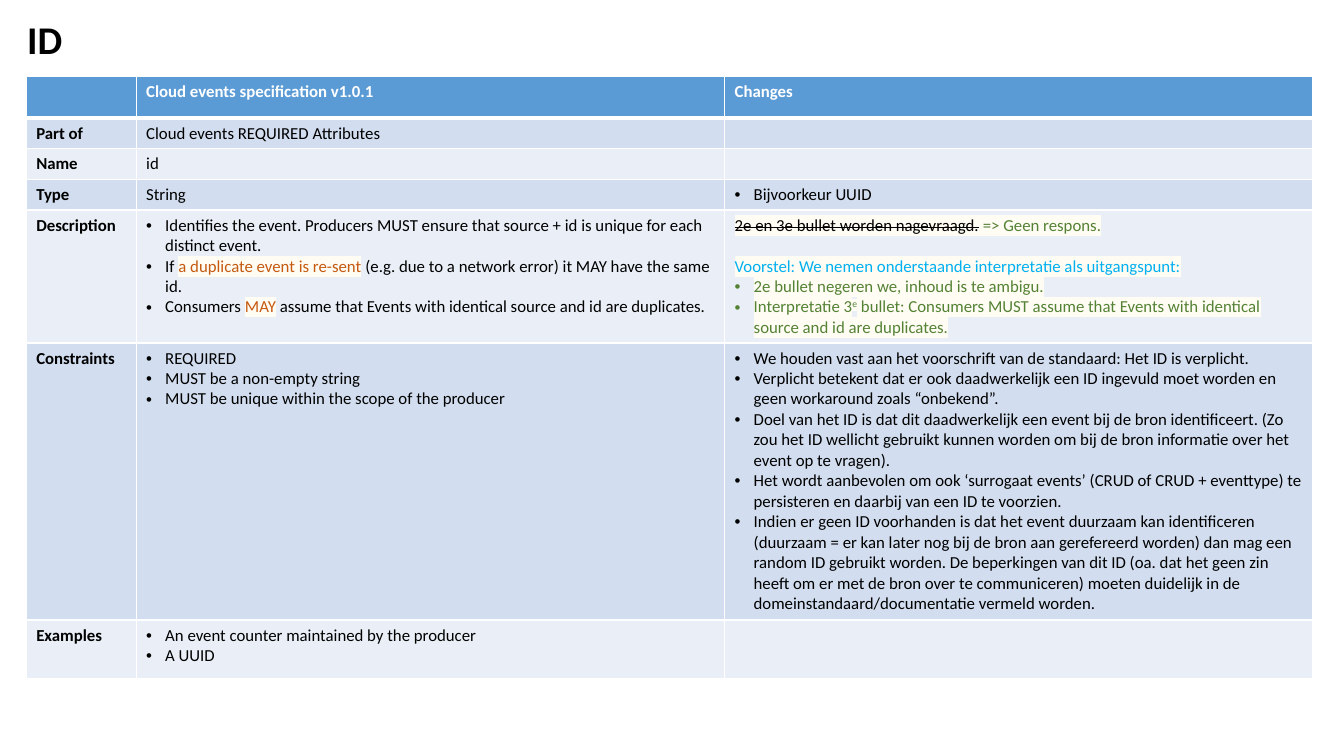
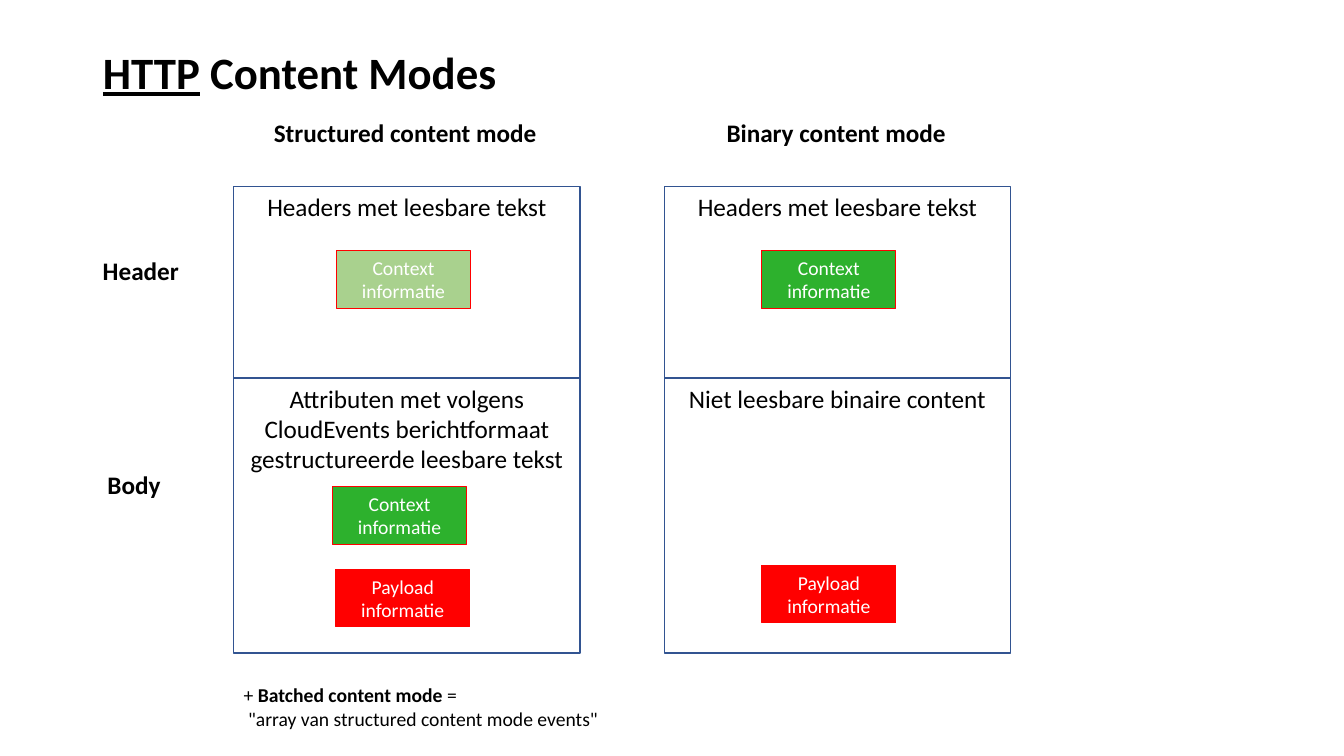
from lxml import etree
from pptx import Presentation
from pptx.dml.color import RGBColor
from pptx.enum.shapes import MSO_SHAPE
from pptx.enum.text import MSO_ANCHOR, MSO_AUTO_SIZE, PP_ALIGN
from pptx.oxml.ns import qn
from pptx.util import Cm, Pt

RECT = MSO_SHAPE.RECTANGLE
TOP, MIDDLE = MSO_ANCHOR.TOP, MSO_ANCHOR.MIDDLE
NO_FIT, GROW = MSO_AUTO_SIZE.NONE, MSO_AUTO_SIZE.SHAPE_TO_FIT_TEXT
LEFT, CENTER = PP_ALIGN.LEFT, PP_ALIGN.CENTER

FONT = "Calibri"
COLORS = {
    "black": "000000", "white": "FFFFFF", "head": "5B9BD5",
    "odd": "D2DEEF", "even": "EAEFF7", "mark": "FFFCF3",
    "orange": "C55A11", "moss": "548235", "sky": "00B0F0",
    "frame": "325491", "green": "2DB12D", "pale": "A9D18E", "red": "FF0000",
}

# Run styles; a run is a plain string or (string, style name)
STYLES = {
    "bold": {"bold": True},
    "under": {"under": True},
    "orange": {"color": "orange", "mark": True},
    "struck": {"strike": True, "mark": True},
    "mark": {"mark": True},
    "moss": {"color": "moss", "mark": True},
    "super": {"color": "moss", "mark": True, "raised": True},
    "sky": {"color": "sky", "mark": True},
}

# A paragraph is (kind, run, run, ...); the kind is one of these
PLAIN, BULLET, GAP = "plain", "bullet", "gap"

HEADS = ["", "Cloud events specification v1.0.1", "Changes"]
ROWS = [
    ("Part of", [(PLAIN, "Cloud events REQUIRED Attributes")], []),
    ("Name", [(PLAIN, "id")], []),
    ("Type", [(PLAIN, "String")], [(BULLET, "Bijvoorkeur UUID")]),
    ("Description", [
        (BULLET, "Identifies the event. Producers MUST ensure that source + id is "
                 "unique for each distinct event."),
        (BULLET, "If ", ("a duplicate event is re-sent", "orange"),
         " (e.g. due to a network error) it MAY have the same id."),
        (BULLET, "Consumers ", ("MAY", "orange"),
         " assume that Events with identical source and id are duplicates."),
    ], [
        (PLAIN, ("2e en 3e bullet worden nagevraagd.", "struck"), (" ", "mark"),
         ("=> Geen respons.", "moss")),
        (GAP, ("Voorstel: We nemen onderstaande interpretatie als uitgangspunt:", "sky")),
        (BULLET, ("2e bullet negeren we, inhoud is te ambigu.", "moss")),
        (BULLET, ("Interpretatie 3", "moss"), ("e", "super"),
         (" bullet: Consumers MUST assume that Events with identical source and id "
          "are duplicates.", "moss")),
    ]),
    ("Constraints", [
        (BULLET, "REQUIRED"),
        (BULLET, "MUST be a non-empty string"),
        (BULLET, "MUST be unique within the scope of the producer"),
    ], [
        (BULLET, "We houden vast aan het voorschrift van de standaard: Het ID is verplicht."),
        (BULLET, "Verplicht betekent dat er ook daadwerkelijk een ID ingevuld moet worden "
                 "en geen workaround zoals “onbekend”."),
        (BULLET, "Doel van het ID is dat dit daadwerkelijk een event bij de bron "
                 "identificeert. (Zo zou het ID wellicht gebruikt kunnen worden om bij de "
                 "bron informatie over het event op te vragen)."),
        (BULLET, "Het wordt aanbevolen om ook ‘surrogaat events’ (CRUD of CRUD + "
                 "eventtype) te persisteren en daarbij van een ID te voorzien."),
        (BULLET, "Indien er geen ID voorhanden is dat het event duurzaam kan "
                 "identificeren (duurzaam = er kan later nog bij de bron aan gerefereerd "
                 "worden) dan mag een random ID gebruikt worden. De beperkingen van dit ID "
                 "(oa. dat het geen zin heeft om er met de bron over te communiceren) "
                 "moeten duidelijk in de domeinstandaard/documentatie vermeld worden."),
    ]),
    ("Examples", [
        (BULLET, "An event counter maintained by the producer"),
        (BULLET, "A UUID"),
    ], []),
]
WIDTHS = [2.77, 14.83, 14.83]
HEIGHTS = [1.05, 0.77, 0.77, 0.77, 3.35, 6.98, 1.47]

# Modes: left edge, texts of the header and body frames
MODES = [
    (5.89, ["Headers met leesbare tekst",
            "Attributen met volgens CloudEvents berichtformaat "
            "gestructureerde leesbare tekst"]),
    (16.74, ["Headers met leesbare tekst", "Niet leesbare binaire content"]),
]
FRAME_TOP, FRAME_WIDTH, FRAME_HEIGHTS = 4.7, 8.73, [4.83, 6.93]
LABELS = [
    (6.65, 2.84, 7.19, "Structured content mode"),
    (18.06, 2.84, 6.07, "Binary content mode"),
    (2.34, 6.32, 2.44, "Header"),
    (2.46, 11.71, 1.85, "Body"),
]
CHIPS = [
    (19.2, 6.32, "Context informatie", "green"),
    (8.48, 6.32, "Context informatie", "pale"),
    (8.38, 12.27, "Context informatie", "green"),
    (8.46, 14.35, "Payload informatie", "red"),
    (19.2, 14.25, "Payload informatie", "red"),
]
NOTE = [
    (PLAIN, "+ ", ("Batched content mode", "bold"), " ="),
    (PLAIN, ' "array van structured content mode events"'),
]


def rgb(name):
    return RGBColor.from_string(COLORS[name])


def add_color(parent, tag, name):
    """Append an XML element that holds one colour."""
    item = etree.SubElement(parent, qn(tag))
    etree.SubElement(item, qn("a:srgbClr"), val=COLORS[name])
    return item


def style_run(run, size, color="black", bold=False, under=False,
              mark=False, strike=False, raised=False):
    font = run.font
    font.name, font.size, font.bold = FONT, Pt(size), bold
    font.color.rgb = rgb(color)
    if under:
        font.underline = True
    props = run._r.get_or_add_rPr()
    if mark:
        props.find(qn("a:solidFill")).addnext(add_color(props, "a:highlight", "mark"))
    if strike:
        props.set("strike", "sngStrike")
    if raised:
        props.set("baseline", "30000")


def add_bullet(para):
    props = para._p.get_or_add_pPr()
    props.set("marL", str(Cm(0.48)))
    props.set("indent", str(-Cm(0.48)))
    etree.SubElement(props, qn("a:buFont"), typeface="Arial")
    etree.SubElement(props, qn("a:buChar"), char="•")


def write(frame, paras, size, align=LEFT, **base):
    """Fill a text frame; base holds the style that all runs share."""
    for i, (kind, *runs) in enumerate(paras):
        para = frame.add_paragraph() if i else frame.paragraphs[0]
        para.alignment = align
        if kind == GAP:
            para.space_before = Pt(size * 1.22)
        if kind == BULLET:
            add_bullet(para)
        for item in runs:
            text, name = (item, None) if isinstance(item, str) else item
            run = para.add_run()
            run.text = text
            style_run(run, size, **{**base, **STYLES.get(name, {})})
    if not paras:
        etree.SubElement(frame.paragraphs[0]._p, qn("a:endParaRPr"), sz=str(size * 100))


def add_slide(deck, box, size, *runs):
    """Add a title-only slide with its title in place."""
    slide = deck.slides.add_slide(deck.slide_layouts[5])
    title = slide.shapes.title
    title.left, title.top, title.width, title.height = map(Cm, box)
    frame = title.text_frame
    frame.auto_size, frame.vertical_anchor, frame.word_wrap = NO_FIT, MIDDLE, True
    write(frame, [(PLAIN, *runs)], size, bold=True)
    frame.paragraphs[0].line_spacing = 0.9
    return slide


def edge_cell(cell, row):
    """Draw white cell borders, thick below the header row."""
    props = cell._tc.get_or_add_tcPr()
    thick = {"T": row == 1, "B": row == 0}
    for i, side in enumerate("LRTB"):
        width = Pt(3 if thick.get(side) else 1)
        line = etree.Element(qn("a:ln" + side), w=str(width))
        add_color(line, "a:solidFill", "white")
        props.insert(i, line)


def add_grid(slide):
    rows = [[[(PLAIN, head)] if head else [] for head in HEADS]]
    rows += [[[(PLAIN, name)], spec, change] for name, spec, change in ROWS]
    table = slide.shapes.add_table(
        len(rows), len(WIDTHS), Cm(0.66), Cm(1.93),
        Cm(sum(WIDTHS)), Cm(sum(HEIGHTS))).table
    for col, width in zip(table.columns, WIDTHS):
        col.width = Cm(width)
    for r, row in enumerate(rows):
        table.rows[r].height = Cm(HEIGHTS[r])
        fill = "head" if r == 0 else "odd" if r % 2 else "even"
        for c, paras in enumerate(row):
            cell = table.cell(r, c)
            cell.fill.solid()
            cell.fill.fore_color.rgb = rgb(fill)
            edge_cell(cell, r)
            write(cell.text_frame, paras, 12, bold=r == 0 or c == 0,
                  color="black" if r else "white")


def add_box(slide, box, text, size, color, line, width, fill=None):
    shape = slide.shapes.add_shape(RECT, *map(Cm, box))
    shape.shadow.inherit = False
    shape.line.color.rgb = rgb(line)
    shape.line.width = Pt(width)
    if fill:
        shape.fill.solid()
        shape.fill.fore_color.rgb = rgb(fill)
    else:
        shape.fill.background()
    frame = shape.text_frame
    frame.word_wrap, frame.vertical_anchor = True, TOP
    write(frame, [(PLAIN, text)], size, CENTER, color=color)


def add_text(slide, box, paras, size, wrap, bold=False):
    frame = slide.shapes.add_textbox(*map(Cm, box)).text_frame
    frame.word_wrap, frame.auto_size = wrap, GROW
    write(frame, paras, size, bold=bold)


def add_modes(slide):
    for left, texts in MODES:
        top = FRAME_TOP
        for text, height in zip(texts, FRAME_HEIGHTS):
            add_box(slide, (left, top, FRAME_WIDTH, height), text, 18,
                    "black", "frame", 1)
            top += height
    for left, top, width, text in LABELS:
        add_text(slide, (left, top, width, 1.02), [(PLAIN, text)], 18, False, True)
    for left, top, text, fill in CHIPS:
        add_box(slide, (left, top, 3.38, 1.45), text, 14, "white", "red", 0.75, fill)
    add_text(slide, (5.89, 17.09, 9.63, 1.45), NOTE, 14, True)


def main():
    deck = Presentation()
    deck.slide_width, deck.slide_height = Cm(33.87), Cm(19.05)
    add_grid(add_slide(deck, (0.43, 0.18, 15.11, 1.75), 28, "ID"))
    add_modes(add_slide(deck, (2.34, 1.02, 11.35, 1.75), 32,
                        ("HTTP", "under"), " Content Modes"))
    deck.save("out.pptx")


if __name__ == "__main__":
    main()
